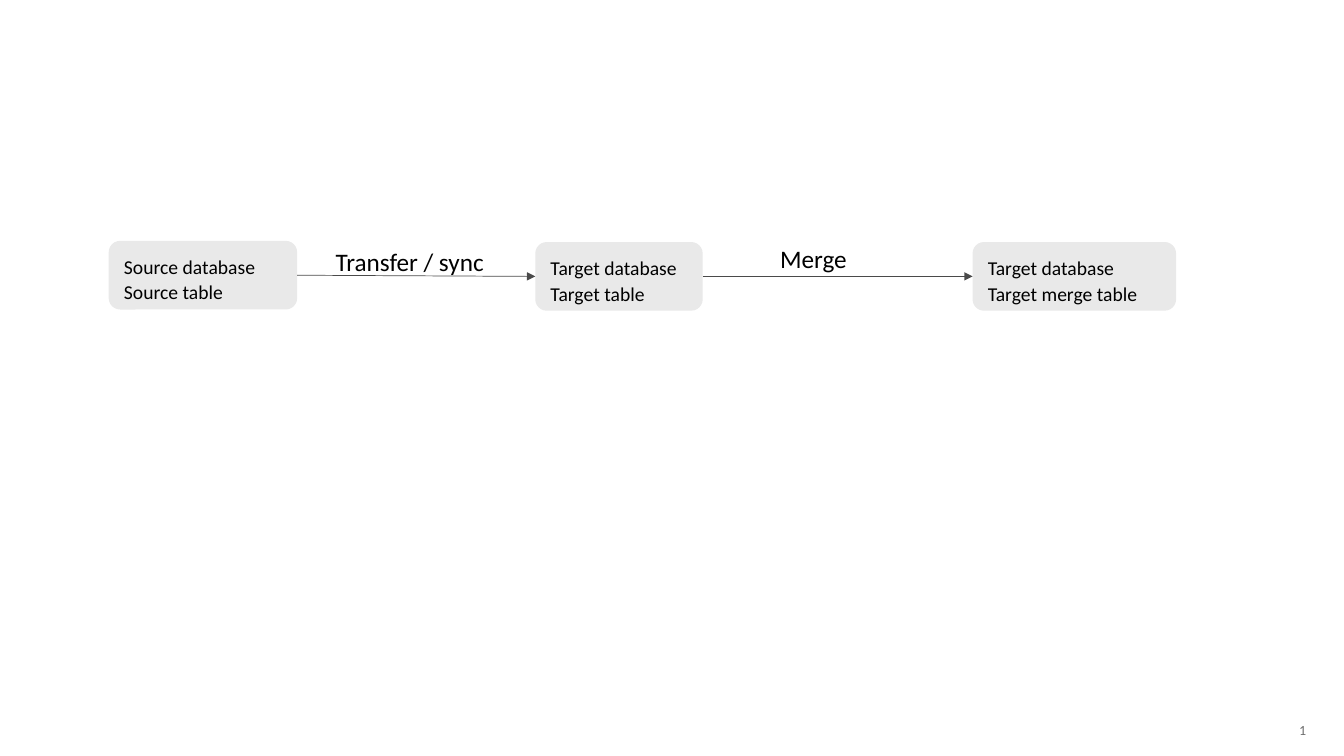
from dataclasses import dataclass

from lxml.etree import SubElement
from pptx import Presentation
from pptx.dml.color import RGBColor as RGB
from pptx.enum.shapes import MSO_CONNECTOR as Connector, MSO_SHAPE as Shape
from pptx.enum.text import MSO_ANCHOR as Anchor, MSO_AUTO_SIZE as AutoSize, PP_ALIGN as Align
from pptx.oxml.ns import qn
from pptx.util import Cm, Pt


@dataclass(frozen=True)
class Theme:
    font: str = "Calibri"
    ink: RGB = RGB(0x00, 0x00, 0x00)
    muted: RGB = RGB(0x6F, 0x6F, 0x6F)
    box: RGB = RGB(0xE9, 0xE9, 0xE9)
    arrow: RGB = RGB(0x4A, 0x4A, 0x4A)
    box_size: Pt = Pt(14)
    label_size: Pt = Pt(18)
    number_size: Pt = Pt(10)
    arrow_width: Pt = Pt(0.5)
    line_spacing: float = 1.1


class FlowSlide:
    LEFT_SITE, RIGHT_SITE = 1, 3

    def __init__(self, slide, theme):
        self.shapes = slide.shapes
        self.theme = theme

    def set_text(self, frame, lines, size, color, inset=(0, 0), align=Align.LEFT, spacing=None):
        """Fill a text frame, one paragraph per line; inset is (horizontal, vertical) in cm."""
        frame.margin_left = frame.margin_right = Cm(inset[0])
        frame.margin_top = frame.margin_bottom = Cm(inset[1])
        frame.text = "\n".join(lines)
        for paragraph in frame.paragraphs:
            paragraph.alignment = align
            paragraph.line_spacing = spacing
            paragraph.font.name = self.theme.font
            paragraph.font.size = size
            paragraph.font.color.rgb = color

    def table_box(self, left, top, width, lines):
        box = self.shapes.add_shape(
            Shape.ROUNDED_RECTANGLE, Cm(left), Cm(top), Cm(width), Cm(1.73))
        box.shadow.inherit = False
        box.fill.solid()
        box.fill.fore_color.rgb = self.theme.box
        box.line.fill.background()
        frame = box.text_frame
        frame.word_wrap = True
        frame.vertical_anchor = Anchor.TOP
        self.set_text(frame, lines, self.theme.box_size, self.theme.ink,
                      inset=(0.3, 0.2), spacing=self.theme.line_spacing)
        return box

    def arrow(self, start, end):
        """Join the right side of one box to the left side of the next."""
        arrow = self.shapes.add_connector(Connector.STRAIGHT, 0, 0, 0, 0)
        arrow.begin_connect(start, self.RIGHT_SITE)
        arrow.end_connect(end, self.LEFT_SITE)
        arrow.line.color.rgb = self.theme.arrow
        arrow.line.width = self.theme.arrow_width
        properties = arrow.element.spPr
        SubElement(properties.find(qn("a:ln")), qn("a:tailEnd"), type="triangle")
        SubElement(properties, qn("a:effectLst"))

    def step_label(self, left, top, width, text):
        frame = self.shapes.add_textbox(Cm(left), Cm(top), Cm(width), Cm(0.81)).text_frame
        frame.word_wrap = False
        frame.auto_size = AutoSize.SHAPE_TO_FIT_TEXT
        self.set_text(frame, [text], self.theme.label_size, self.theme.ink,
                      spacing=self.theme.line_spacing)

    def page_number(self, number):
        frame = self.shapes.add_textbox(Cm(31.52), Cm(18.14), Cm(1.4), Cm(0.53)).text_frame
        frame.word_wrap = True
        frame.vertical_anchor = Anchor.MIDDLE
        self.set_text(frame, [number], self.theme.number_size, self.theme.muted,
                      align=Align.RIGHT)


def main():
    deck = Presentation()
    deck.slide_width, deck.slide_height = Cm(33.87), Cm(19.05)
    flow = FlowSlide(deck.slides.add_slide(deck.slide_layouts[6]), Theme())

    flow.page_number("1")
    source = flow.table_box(2.74, 6.07, 4.75, ["Source database", "Source table"])
    target = flow.table_box(13.49, 6.1, 4.22, ["Target database", "Target table"])
    merged = flow.table_box(24.51, 6.1, 5.13, ["Target database", "Target merge table"])

    flow.arrow(source, target)
    flow.arrow(target, merged)
    flow.step_label(8.46, 6.12, 3.78, "Transfer / sync")
    flow.step_label(19.66, 6.05, 1.7, "Merge")

    deck.save("out.pptx")


if __name__ == "__main__":
    main()
